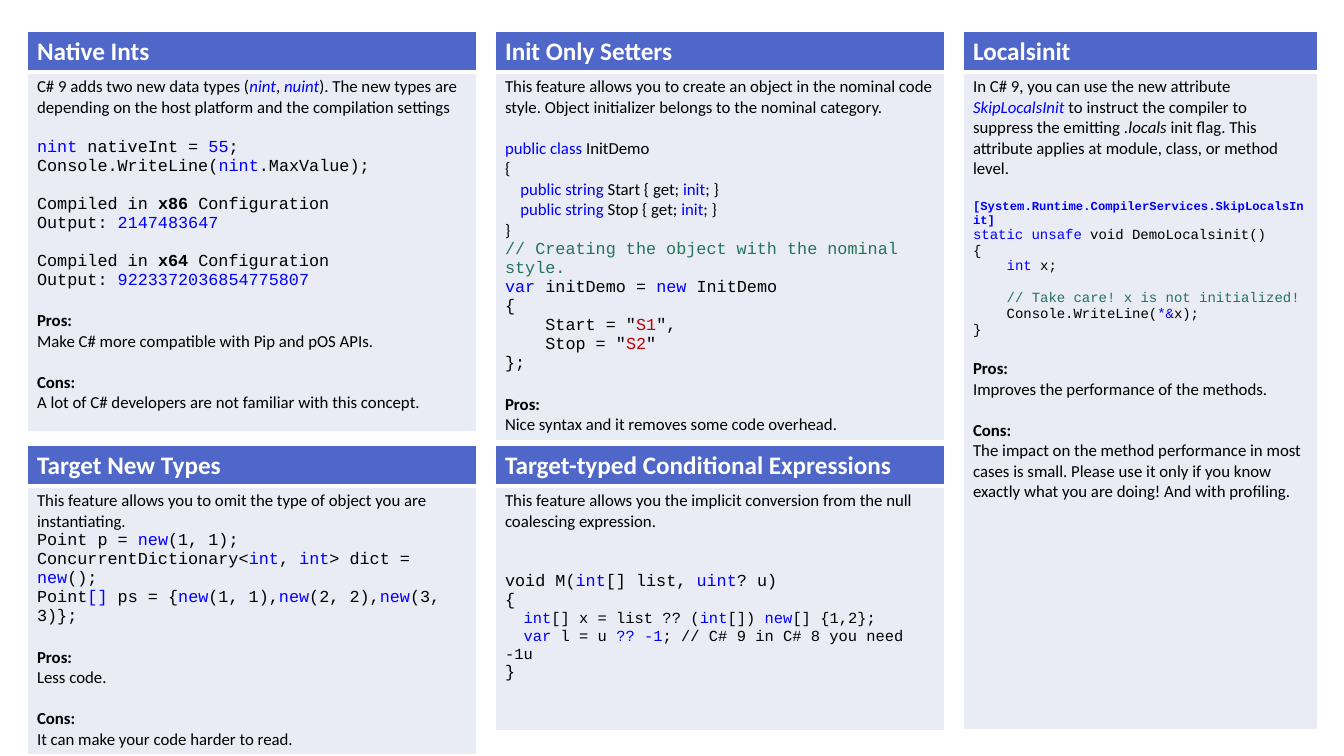
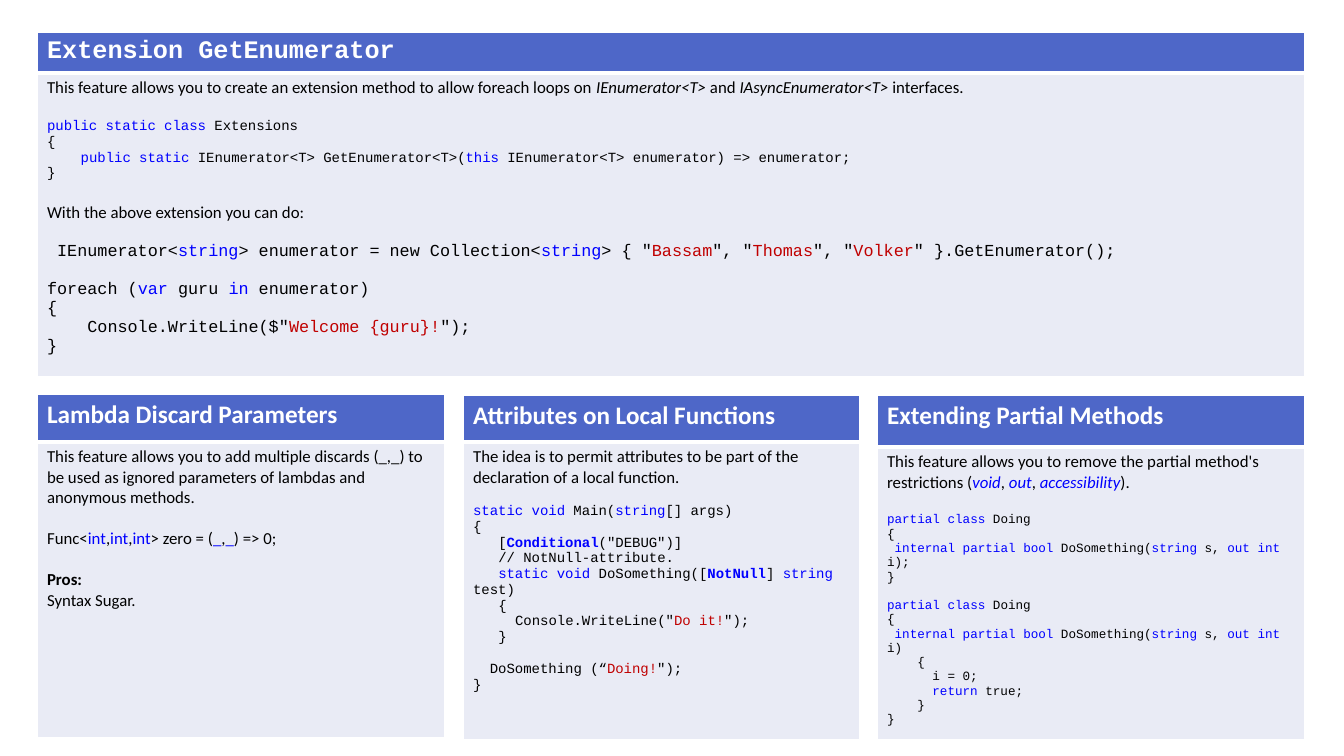
from pptx import Presentation
from pptx.dml.color import RGBColor
from pptx.util import Pt
from lxml.etree import SubElement
from pptx.oxml.ns import qn

PX = 914400 / 100.8
SANS, MONO = "Calibri", "Courier New"
HEADER, BODY, WHITE, BLACK = "4E67C8", "E9EBF5", "FFFFFF", "000000"
BLUE, RED, GREEN = "0000FF", "C00000", "23735D"
SPACE_WIDTH = {SANS: 0.226, MONO: 0.6}
SANS_GAP, MONO_GAP = 14.65, 13.6
STYLES = {
    "": (BLACK, False, False),
    "key": (BLUE, False, False),
    "link": (BLUE, False, True),
    "attr": (BLUE, True, False),
    "str": (RED, False, False),
    "note": (GREEN, False, False),
    "b": (BLACK, True, False),
    "i": (BLACK, False, True),
}


def paint(fill, colour):
    fill.solid()
    fill.fore_color.rgb = RGBColor.from_string(colour)


def add_run(paragraph, text, font_name, size, colour, bold, italic):
    run = paragraph.add_run()
    run.text = text
    run.font.name = font_name
    run.font.size = Pt(size)
    run.font.bold = bold
    run.font.italic = italic
    paint(run.font.fill, colour)


native_ints = [
    (SANS, 12, 0, [
        "C# 9 adds two new data types (|link:nint|, |link:nuint|). The new types are",
        "depending on the host platform and the compilation settings"]),
    (MONO, 12, SANS_GAP, [
        "|key:nint| nativeInt = |key:55|;",
        "Console.WriteLine(|key:nint|.MaxValue);"]),
    (MONO, 12, MONO_GAP, ["Compiled in |b:x86| Configuration", "Output: |key:2147483647|"]),
    (MONO, 12, MONO_GAP, ["Compiled in |b:x64| Configuration", "Output: |key:9223372036854775807|"]),
    (SANS, 12, SANS_GAP, ["|b:Pros:|", "Make C# more compatible with Pip and pOS APIs."]),
    (SANS, 12, SANS_GAP, ["|b:Cons:|", "A lot of C# developers are not familiar with this concept."]),
]

init_setters = [
    (SANS, 12, 0, [
        "This feature allows you to create an object in the nominal code style. "
        "Object initializer belongs to the nominal category."]),
    (SANS, 12, SANS_GAP, [
        "|key:public class| InitDemo",
        "{",
        "    |key:public string| Start { get; |key:init|; }",
        "    |key:public string| Stop { get; |key:init|; }",
        "}"]),
    (MONO, 12, 0, [
        "|note:// Creating the object with the nominal style.|",
        "|key:var| initDemo = |key:new| InitDemo",
        "{",
        '    Start = "|str:S1|",',
        '    Stop = "|str:S2|"',
        "};"]),
    (SANS, 12, SANS_GAP, ["|b:Pros:|", "Nice syntax and it removes some code overhead."]),
]

target_new = [
    (SANS, 12, 0, ["This feature allows you to omit the type of object you are instantiating."]),
    (MONO, 12, 0, [
        "Point p = |key:new|(1, 1);",
        "ConcurrentDictionary<|key:int|, |key:int|> dict = |key:new|();",
        "Point|key:[]| ps = {|key:new|(1, 1),|key:new|(2, 2),|key:new|(3, 3)};"]),
    (SANS, 12, SANS_GAP, ["|b:Pros:|", "Less code."]),
    (SANS, 12, SANS_GAP, ["|b:Cons:|", "It can make your code harder to read."]),
]

conditional = [
    (SANS, 12, 0, [
        "This feature allows you the implicit conversion from the null coalescing expression."]),
    (MONO, 12, 2 * SANS_GAP, ["void M(|key:int|[] list, |key:uint|? u)", "{"]),
    (MONO, 11, 0, [
        "  |key:int|[] x = list ?? (|key:int|[]) |key:new|[] {1,2};",
        "  |key:var| l = u |key:?? -1|; // C# 9 in C# 8 you need -1u"]),
    (MONO, 12, 0, ["}"]),
]

localsinit = [
    (SANS, 12, 0, [
        "In C# 9, you can use the new attribute |link:SkipLocalsInit| to instruct the compiler to "
        "suppress the emitting .|i:locals| init flag. This attribute applies at module, class, "
        "or method level."]),
    (MONO, 8.7, SANS_GAP, ["|attr:[System.Runtime.CompilerServices.SkipLocalsInit]|"]),
    (MONO, 10, 0, [
        "|key:static unsafe| void DemoLocalsinit()",
        "{",
        "    |key:int| x;"]),
    (MONO, 10, 11.33, [
        "    |note:// Take care! x is not initialized!|",
        "    Console.WriteLine(|key:*&|x);",
        "}"]),
    (SANS, 12, SANS_GAP, ["|b:Pros:|", "Improves the performance of the methods."]),
    (SANS, 12, SANS_GAP, [
        "|b:Cons:|",
        "The impact on the method performance in most cases is small. Please use it only if you "
        "know exactly what you are doing! And with profiling."]),
]

get_enumerator = [
    (SANS, 12, 0, [
        "This feature allows you to create an extension method to allow foreach loops on "
        "|i:IEnumerator<T>| and |i:IAsyncEnumerator<T>| interfaces."]),
    (MONO, 10, SANS_GAP, [
        "|key:public static class| Extensions",
        "{",
        "    |key:public static| IEnumerator<T> GetEnumerator<T>(|key:this| IEnumerator<T> "
        "enumerator) => enumerator;",
        "}"]),
    (SANS, 12, SANS_GAP, ["With the above extension you can do:"]),
    (MONO, 12, MONO_GAP, [
        ' IEnumerator<|key:string|> enumerator = new Collection<|key:string|> { "|str:Bassam|", '
        '"|str:Thomas|", "|str:Volker|" }.GetEnumerator();']),
    (MONO, 12, MONO_GAP, [
        "foreach (|key:var| guru |key:in| enumerator)",
        "{",
        '    Console.WriteLine($"|str:Welcome {guru}!|");',
        "}"]),
]

lambda_discards = [
    (SANS, 12, 0, [
        "This feature allows you to add multiple discards (_,_) to be used as ignored parameters "
        "of lambdas and anonymous methods."]),
    (SANS, 12, SANS_GAP, [
        "Func<|key:int|,|key:int|,|key:int|> zero = (|key:_|,|key:_|) => 0;"]),
    (SANS, 12, SANS_GAP, ["|b:Pros:|", "Syntax Sugar."]),
]

local_attributes = [
    (SANS, 12, 0, [
        "The idea is to permit attributes to be part of the declaration of a local function."]),
    (MONO, 10, 11.33, [
        "|key:static void| Main(|key:string|[] args)",
        "{",
        '   [|attr:Conditional|("DEBUG")]',
        "   // NotNull-attribute.",
        "   |key:static void| DoSomething([|attr:NotNull|] |key:string| test)",
        "   {",
        '     Console.WriteLine("|str:Do it!|");',
        "   }"]),
    (MONO, 10, 11.33, ['  DoSomething (“|str:Doing!|");', "}"]),
]

partial_opening = ["|key:partial class| Doing", "{"]
partial_method = " |key:internal partial bool| DoSomething(|key:string| s, |key:out int| i)"
partial_methods = [
    (SANS, 12, 0, [
        "This feature allows you to remove the partial method's restrictions "
        "(|link:void|, |link:out|, |link:accessibility|)."]),
    (MONO, 9, SANS_GAP, partial_opening + [partial_method + ";", "}"]),
    (MONO, 9, 10.2, partial_opening + [
        partial_method,
        "    {",
        "      i = 0;",
        "      |key:return| true;",
        "    }",
        "}"]),
]

slides = [
    [
        (27, 31, 450, 41, 360, "Native Ints", SANS, native_ints),
        (495, 31, 450, 41, 360, "Init Only Setters", SANS, init_setters),
        (27, 445, 450, 41, 245, "Target New Types", SANS, target_new),
        (495, 445, 450, 41, 245, "Target-typed Conditional Expressions", SANS, conditional),
        (963, 31, 355, 41, 658, "Localsinit", SANS, localsinit),
    ],
    [
        (37, 32, 1268, 41, 304, "Extension GetEnumerator", MONO, get_enumerator),
        (37, 394, 408, 48, 296, "Lambda Discard Parameters", SANS, lambda_discards),
        (463, 395, 397, 47, 298, "Attributes on Local Functions", SANS, local_attributes),
        (877, 395, 428, 52, 293, "Extending Partial Methods", SANS, partial_methods),
    ],
]

presentation = Presentation()
presentation.slide_width = round(1344 * PX)
presentation.slide_height = round(756 * PX)

for cards in slides:
    slide = presentation.slides.add_slide(presentation.slide_layouts[6])
    for left, top, width, header_height, body_height, title, title_font, blocks in cards:
        box = [round(length * PX) for length in (left, top, width, header_height + body_height)]
        table = slide.shapes.add_table(2, 1, *box).table
        table.first_row = False
        table.horz_banding = False
        table.rows[0].height = round(header_height * PX)
        table.rows[1].height = round(body_height * PX)
        header, body = table.cell(0, 0), table.cell(1, 0)

        for cell, colour, thick_side in ((header, HEADER, "lnB"), (body, BODY, "lnT")):
            properties = cell._tc.get_or_add_tcPr()
            for side in ("lnL", "lnR", "lnT", "lnB"):
                border_width = Pt(3 if side == thick_side else 1)
                border = SubElement(properties, qn("a:" + side), w=str(border_width))
                border_fill = SubElement(border, qn("a:solidFill"))
                SubElement(border_fill, qn("a:srgbClr"), val=WHITE)
            paint(cell.fill, colour)

        add_run(header.text_frame.paragraphs[0], title, title_font, 18, WHITE, True, False)

        paragraph = body.text_frame.paragraphs[0]
        for font_name, size, gap, lines in blocks:
            for number, line in enumerate(lines):
                if paragraph is None:
                    paragraph = body.text_frame.add_paragraph()
                text = line.lstrip(" ")
                indent = (len(line) - len(text)) * SPACE_WIDTH[font_name] * size
                if indent:
                    paragraph._p.get_or_add_pPr().set("indent", str(Pt(indent)))
                if number == 0 and gap:
                    paragraph.space_before = Pt(gap)
                for position, part in enumerate(text.split("|")):
                    style, content = "", part
                    if position % 2:
                        style, _, content = part.partition(":")
                    if content:
                        add_run(paragraph, content, font_name, size, *STYLES[style])
                paragraph = None

presentation.save("out.pptx")
